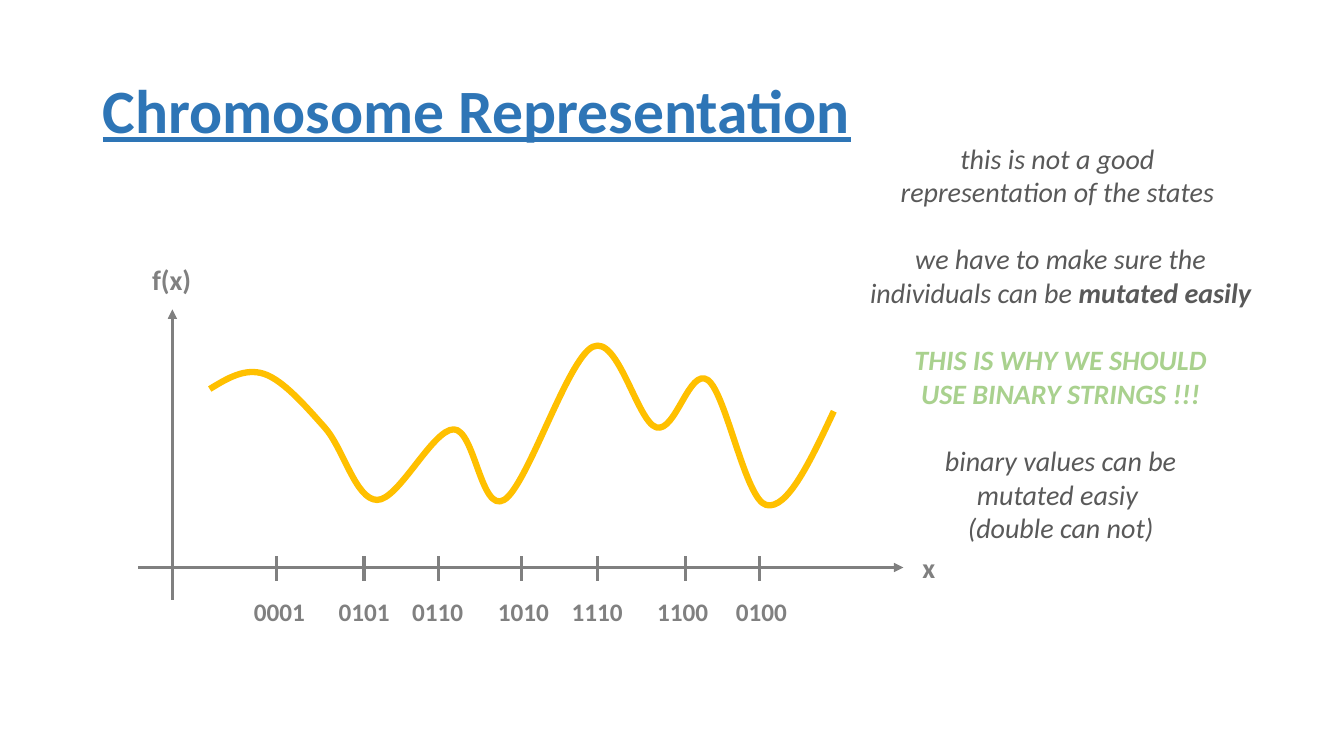
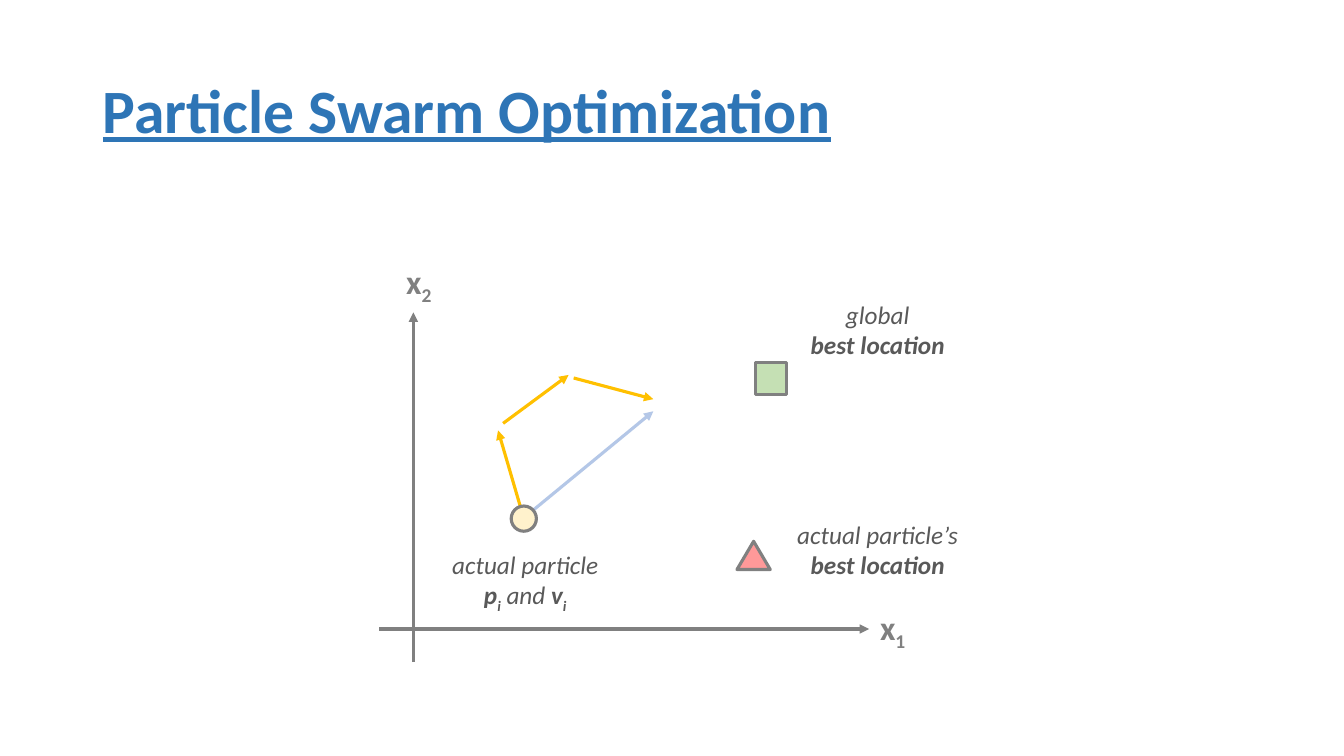
import pptx
import pptx.util
import pptx.dml.color
import pptx.enum.text
import pptx.enum.shapes
import pptx.oxml.ns
from lxml import etree

RGBColor = pptx.dml.color.RGBColor
Inches = pptx.util.Inches
Pt = pptx.util.Pt
ALIGN = pptx.enum.text.PP_ALIGN
FIT = pptx.enum.text.MSO_AUTO_SIZE
SHAPE = pptx.enum.shapes.MSO_SHAPE
qn = pptx.oxml.ns.qn

FONT = "Calibri"
BLUE = RGBColor(0x2E, 0x75, 0xB6)
GRAY = RGBColor(0x80, 0x80, 0x80)
DARK = RGBColor(0x59, 0x59, 0x59)
GOLD = RGBColor(0xFF, 0xC0, 0x00)
GREEN = RGBColor(0xA9, 0xD1, 0x8E)
PALE_BLUE = RGBColor(0xB4, 0xC7, 0xE7)
PALE_GOLD = RGBColor(0xFF, 0xF2, 0xCC)
PALE_GREEN = RGBColor(0xC5, 0xE0, 0xB4)
PINK = RGBColor(0xFF, 0x99, 0x99)

# A line of text is a list of (words, flags): b bold, i italic, s subscript.
# Remarks are groups of lines, each group with its colour.
REMARKS = [
    (DARK, [[("this is not a good ", "i")], [("representation of the states ", "i")]]),
    (DARK, [[("we have to make sure the", "i")],
            [("individuals can be ", "i"), ("mutated easily", "bi")]]),
    (GREEN, [[("THIS IS WHY WE SHOULD\nUSE BINARY STRINGS !!!", "bi")]]),
    (DARK, [[("binary values can be", "i")], [("mutated easiy ", "i")],
            [("(double can not)", "i")]]),
]
# Label, tick position, left edge of the label
TICKS = [("0001", 2.74, 2.52), ("0101", 3.61, 3.36), ("0110", 4.35, 4.09),
         ("1010", 5.17, 4.94), ("1110", 5.93, 5.67), ("1100", 6.8, 6.52),
         ("0100", 7.53, 7.3)]
TICK_LABELS = (2.42, 5.87, 5.69, 0.4)
CURVE_NODES = [(2.08, 3.86), (2.62, 3.71), (3.22, 4.24), (3.74, 4.96), (4.5, 4.26),
               (5, 4.96), (5.88, 3.44), (6.51, 4.24), (7.02, 3.77), (7.6, 5.01),
               (8.27, 4.08)]
FUNCTION_AXES = [((1.71, 5.95), (1.71, 3.07)), ((1.37, 5.63), (8.96, 5.63))]
FUNCTION_LABELS = [("x", (9.05, 5.41, 0.31, 0.44)), ("f(x)", (1.41, 2.56, 0.6, 0.44))]

SWARM_AXES = [((4.1, 6.57), (4.1, 3.1)), ((3.76, 6.24), (8.62, 6.24))]
SWARM_LABELS = [("2", (3.93, 2.54, 0.47, 0.5)), ("1", (8.63, 5.97, 0.47, 0.5))]
MOVES = [(PALE_BLUE, (5.29, 5.06), (6.48, 4.08)), (GOLD, (4.99, 4.2), (5.64, 3.72)),
         (GOLD, (5.69, 3.75), (6.48, 3.96)), (GOLD, (5.2, 5.16), (4.94, 4.27))]
MARKERS = [(SHAPE.OVAL, PALE_GOLD, (5.07, 5.02, 0.25, 0.25)),
           (SHAPE.RECTANGLE, PALE_GREEN, (7.49, 3.6, 0.31, 0.31)),
           (SHAPE.ISOSCELES_TRIANGLE, PINK, (7.31, 5.37, 0.33, 0.28))]
BEST = [("best location", "bi")]
CAPTIONS = [
    ((4.38, 5.4, 1.66, 0.71), [
        [("actual particle", "i")],
        [("p", "bi"), ("i", "bis"), (" and ", "i"), ("v", "bi"), ("i", "bis")]]),
    ((7.8, 5.1, 1.81, 0.71), [[("actual particle’s", "i")], BEST]),
    ((7.93, 2.92, 1.55, 0.71), [[("global", "i")], BEST]),
]


def inches(values):
    return [Inches(value) for value in values]


def add_titled_slide(deck, words):
    page = deck.slides.add_slide(deck.slide_layouts[5])
    title = page.shapes.title
    title.left, title.top, title.width, title.height = inches((0.92, 0.4, 11.5, 1.45))
    frame = title.text_frame
    frame.text = words
    frame.auto_size = FIT.NONE
    frame.vertical_anchor = pptx.enum.text.MSO_ANCHOR.MIDDLE
    para = frame.paragraphs[0]
    para.alignment = ALIGN.LEFT
    para.line_spacing = 0.9
    font = para.runs[0].font
    font.name, font.size = FONT, Pt(44)
    font.bold = font.underline = True
    font.color.rgb = BLUE
    return page


def add_spans(para, words, flags, size, color):
    for number, part in enumerate(words.split("\n")):
        if number:
            para.add_line_break()
        span = para.add_run()
        span.text = part
        font = span.font
        font.name, font.size = FONT, Pt(size)
        font.bold, font.italic = "b" in flags, "i" in flags
        font.color.rgb = color
        if "s" in flags:
            span._r.get_or_add_rPr().set("baseline", "-25000")


def add_text(page, place, groups, size, align=ALIGN.CENTER):
    """Write groups of lines, with one empty line's height between groups."""
    frame = page.shapes.add_textbox(*inches(place)).text_frame
    frame.word_wrap = False
    frame.auto_size = FIT.SHAPE_TO_FIT_TEXT
    para = None
    for color, lines in groups:
        for number, line in enumerate(lines):
            if para is None:
                para = frame.paragraphs[0]
            else:
                para = frame.add_paragraph()
                if number == 0:
                    para.space_before = Pt(size * 1.2)
            para.alignment = align
            for words, flags in line:
                add_spans(para, words, flags, size, color)
    return frame


def add_line(page, start, end, color=GRAY, arrow=True):
    line = page.shapes.add_connector(pptx.enum.shapes.MSO_CONNECTOR.STRAIGHT,
                                     *inches(start + end))
    line.line.color.rgb = color
    line.line.width = Pt(2.25)
    if arrow:
        etree.SubElement(line.line._get_or_add_ln(), qn("a:tailEnd"), type="triangle")
    etree.SubElement(line._element.spPr, qn("a:effectLst"))


def middle(first, second):
    return tuple((a + b) / 2 for a, b in zip(first, second))


def curve_handles(nodes):
    """Two handles for each stretch; inner ones follow the node's neighbours."""
    arriving, leaving = [], []
    for before, node, after in zip(nodes, nodes[1:], nodes[2:]):
        slope = [(b - a) / 6 for a, b in zip(before, after)]
        arriving.append(tuple(n - s for n, s in zip(node, slope)))
        leaving.append(tuple(n + s for n, s in zip(node, slope)))
    leaving.insert(0, middle(nodes[0], arriving[0]))
    arriving.append(middle(nodes[-1], leaving[-1]))
    return list(zip(leaving, arriving))


def add_curve(page, nodes):
    """Draw straight stretches between the nodes, then bend each one."""
    points = [tuple(inches(node)) for node in nodes]
    builder = page.shapes.build_freeform(*points[0])
    builder.add_line_segments(points[1:], close=False)
    curve = builder.convert_to_shape()
    curve.shadow.inherit = False
    curve.fill.background()
    curve.line.color.rgb = GOLD
    curve.line.width = Pt(4.5)
    stretches = list(curve._element.iter(qn("a:lnTo")))
    for stretch, handles in zip(stretches, curve_handles(points)):
        stretch.tag = qn("a:cubicBezTo")
        for number, (x, y) in enumerate(handles):
            point = etree.Element(qn("a:pt"), x=str(round(x - curve.left)),
                                  y=str(round(y - curve.top)))
            stretch.insert(number, point)


def add_tick_labels(page):
    words = "\t".join(label for label, tick, left in TICKS)
    frame = add_text(page, TICK_LABELS, [(GRAY, [[(words, "b")]])], 18, ALIGN.LEFT)
    frame.word_wrap = True
    stops = etree.SubElement(frame.paragraphs[0]._p.get_or_add_pPr(), qn("a:tabLst"))
    for label, tick, left in TICKS[1:]:
        etree.SubElement(stops, qn("a:tab"), pos=str(Inches(left - TICKS[0][2])), algn="l")


def add_marker(page, kind, color, place):
    marker = page.shapes.add_shape(kind, *inches(place))
    marker.shadow.inherit = False
    marker.fill.solid()
    marker.fill.fore_color.rgb = color
    marker.line.color.rgb = GRAY
    marker.line.width = Pt(2.25)


def add_chromosome_slide(deck):
    page = add_titled_slide(deck, "Chromosome Representation")
    for start, end in FUNCTION_AXES:
        add_line(page, start, end)
    add_curve(page, CURVE_NODES)
    for words, place in FUNCTION_LABELS:
        add_text(page, place, [(GRAY, [[(words, "b")]])], 20, ALIGN.LEFT)
    for label, tick, left in TICKS:
        add_line(page, (tick, 5.52), (tick, 5.76), arrow=False)
    add_tick_labels(page)
    add_text(page, (8.52, 1.35, 4, 4.14), REMARKS, 20)


def add_swarm_slide(deck):
    page = add_titled_slide(deck, "Particle Swarm Optimization")
    for color, start, end in MOVES:
        add_line(page, start, end, color)
    for start, end in SWARM_AXES:
        add_line(page, start, end)
    for index, place in SWARM_LABELS:
        add_text(page, place, [(GRAY, [[("x", "b"), (index, "bs")]])], 24, ALIGN.LEFT)
    for kind, color, place in MARKERS:
        add_marker(page, kind, color, place)
    for place, lines in CAPTIONS:
        add_text(page, place, [(DARK, lines)], 18)


def main():
    deck = pptx.Presentation()
    deck.slide_width, deck.slide_height = inches((13.33, 7.5))
    add_chromosome_slide(deck)
    add_swarm_slide(deck)
    deck.save("out.pptx")


if __name__ == "__main__":
    main()
